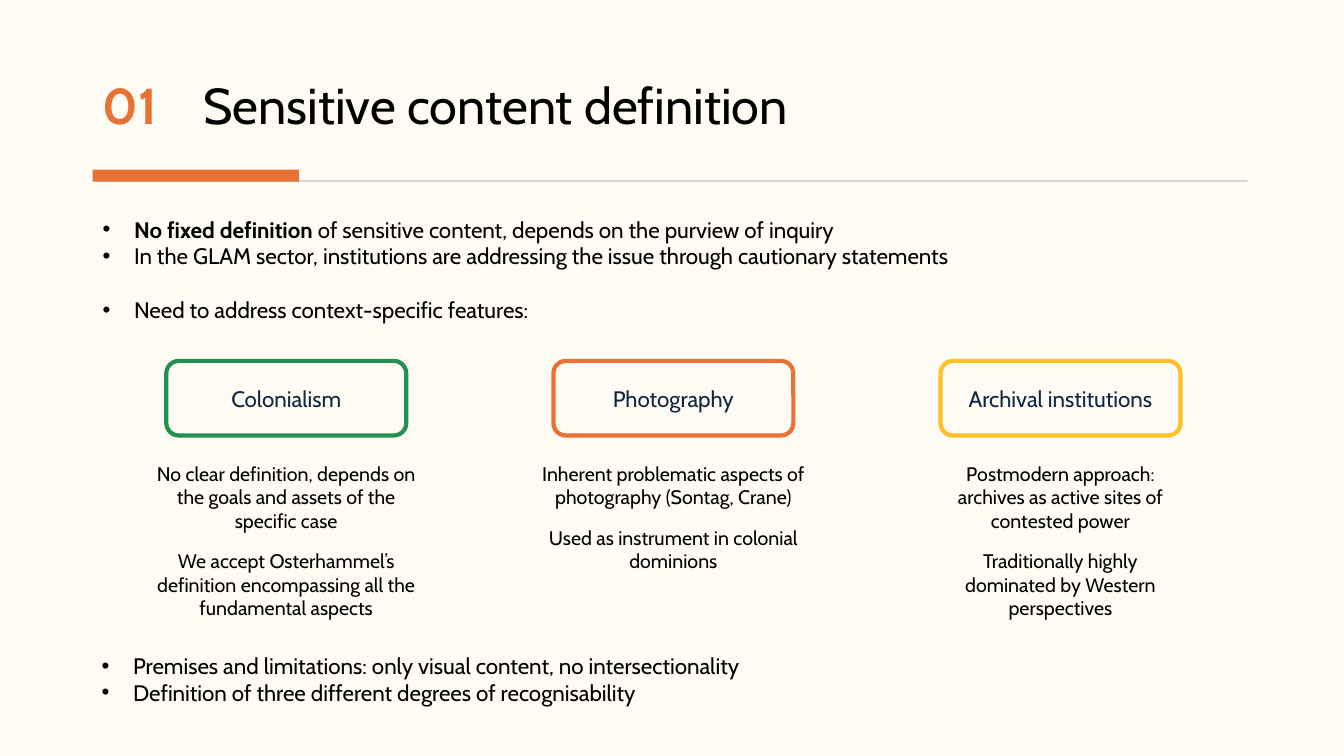
from dataclasses import dataclass

from lxml import etree
from pptx import Presentation
from pptx.dml.color import RGBColor
from pptx.enum.shapes import MSO_SHAPE
from pptx.enum.text import MSO_ANCHOR, MSO_AUTO_SIZE, PP_ALIGN
from pptx.oxml.ns import qn
from pptx.util import Pt

RECTANGLE = MSO_SHAPE.RECTANGLE
ROUNDED = MSO_SHAPE.ROUNDED_RECTANGLE
LEFT, CENTER = PP_ALIGN.LEFT, PP_ALIGN.CENTER
TOP, MIDDLE, BOTTOM = MSO_ANCHOR.TOP, MSO_ANCHOR.MIDDLE, MSO_ANCHOR.BOTTOM
GROW = MSO_AUTO_SIZE.SHAPE_TO_FIT_TEXT

FONT = "Cabin"
BACKGROUND, BLACK, NAVY = "FEFBF5", "000000", "0E2841"
ORANGE, GREEN, YELLOW, GRAY = "E97132", "238F51", "FEC126", "D5D5D5"

BULLET_INDENT = 22.5
FIRST_CENTER, CARD_PITCH = 204.5, 276.5
LABEL_TOP, LABEL_WIDTH, LABEL_HEIGHT = 257.8, 171.4, 53.3
DETAIL_TOP = 326.2


@dataclass(frozen=True)
class Box:
    left: float
    top: float
    width: float
    height: float

    def lengths(self):
        return Pt(self.left), Pt(self.top), Pt(self.width), Pt(self.height)


@dataclass(frozen=True)
class TextRun:
    text: str
    size: float
    color: str = BLACK
    bold: bool = False


@dataclass(frozen=True)
class TextLine:
    runs: tuple[TextRun, ...]
    align: PP_ALIGN = LEFT
    before: float = 0
    after: float = 0
    spacing: float = 1.0
    bullet: bool = False


@dataclass(frozen=True)
class Card:
    label: str
    color: str
    detail_width: float
    detail_height: float
    details: tuple[str, ...]


CARDS = (
    Card("Colonialism", GREEN, 216, 121, (
        "No clear definition, depends on the goals and assets of the specific case",
        "We accept Osterhammel’s definition encompassing all the fundamental aspects",
    )),
    Card("Photography", ORANGE, 219.6, 87.1, (
        "Inherent problematic aspects of photography (Sontag, Crane)",
        "Used as instrument in colonial dominions",
    )),
    Card("Archival institutions", YELLOW, 190.8, 121, (
        "Postmodern approach: archives as active sites of contested power",
        "Traditionally highly dominated by Western perspectives",
    )),
)


def rgb(color: str) -> RGBColor:
    return RGBColor.from_string(color)


def add_bullet(paragraph) -> None:
    properties = paragraph._p.get_or_add_pPr()
    properties.set("marL", str(Pt(BULLET_INDENT)))
    properties.set("indent", str(-Pt(BULLET_INDENT)))
    etree.SubElement(properties, qn("a:buFont")).set("typeface", "Arial")
    etree.SubElement(properties, qn("a:buChar")).set("char", "•")


def write_text(shape, lines: tuple[TextLine, ...], anchor: MSO_ANCHOR) -> None:
    frame = shape.text_frame
    frame.word_wrap = True
    frame.vertical_anchor = anchor
    for index, line in enumerate(lines):
        paragraph = frame.add_paragraph() if index else frame.paragraphs[0]
        if line.bullet:
            add_bullet(paragraph)
        paragraph.alignment = line.align
        paragraph.line_spacing = line.spacing
        paragraph.space_before = Pt(line.before)
        paragraph.space_after = Pt(line.after)
        for item in line.runs:
            run = paragraph.add_run()
            run.text = item.text
            run.font.name = FONT
            run.font.size = Pt(item.size)
            run.font.bold = item.bold
            run.font.color.rgb = rgb(item.color)


def add_text(shapes, box: Box, lines: tuple[TextLine, ...], anchor: MSO_ANCHOR = TOP):
    shape = shapes.add_textbox(*box.lengths())
    write_text(shape, lines, anchor)
    if anchor == TOP:
        shape.text_frame.auto_size = GROW
    return shape


def add_bar(shapes, box: Box, color: str) -> None:
    shape = shapes.add_shape(RECTANGLE, *box.lengths())
    shape.shadow.inherit = False
    shape.fill.solid()
    shape.fill.fore_color.rgb = rgb(color)
    shape.line.fill.background()


def add_card(slide, card: Card, center: float) -> None:
    shapes = slide.shapes.add_group_shape().shapes
    label_box = Box(center - LABEL_WIDTH / 2, LABEL_TOP, LABEL_WIDTH, LABEL_HEIGHT)
    label = shapes.add_shape(ROUNDED, *label_box.lengths())
    label.shadow.inherit = False
    label.fill.background()
    label.line.color.rgb = rgb(card.color)
    label.line.width = Pt(3)
    write_text(label, (TextLine((TextRun(card.label, 16, NAVY),), CENTER),), MIDDLE)
    detail_box = Box(center - card.detail_width / 2, DETAIL_TOP, card.detail_width, card.detail_height)
    details = tuple(TextLine((TextRun(text, 14),), CENTER, after=12) for text in card.details)
    add_text(shapes, detail_box, details)


def bullet(*runs: TextRun, before: float = 0) -> TextLine:
    return TextLine(runs, before=before, bullet=True)


def main() -> None:
    presentation = Presentation()
    presentation.slide_width, presentation.slide_height = Pt(960), Pt(540)
    slide = presentation.slides.add_slide(presentation.slide_layouts[6])
    slide.background.fill.solid()
    slide.background.fill.fore_color.rgb = rgb(BACKGROUND)
    shapes = slide.shapes

    title = TextLine((
        TextRun("01\t", 36, ORANGE, True),
        TextRun("Sensitive content definition", 36),
    ), spacing=0.9)
    add_text(shapes, Box(66.2, 37.4, 827.3, 62.6), (title,), BOTTOM)
    add_bar(shapes, Box(68.4, 128.7, 822.6, 1.2), GRAY)
    add_bar(shapes, Box(66.2, 121.2, 147.4, 8.6), ORANGE)

    add_text(shapes, Box(66.2, 150.5, 825.1, 85), (
        bullet(
            TextRun("No fixed definition", 16, bold=True),
            TextRun(" of sensitive content, depends on the purview of inquiry", 16),
        ),
        bullet(TextRun("In the GLAM sector, institutions are addressing the issue through cautionary statements", 16)),
        bullet(TextRun("Need to address context-specific features:", 16), before=19.4),
    ))
    for index, card in enumerate(CARDS):
        add_card(slide, card, FIRST_CENTER + index * CARD_PITCH)
    add_text(shapes, Box(65.5, 462.2, 636.5, 67.7), (
        bullet(TextRun("Premises and limitations: only visual content, no intersectionality", 16)),
        bullet(TextRun("Definition of three different degrees of recognisability", 16)),
    ))
    presentation.save("out.pptx")


if __name__ == "__main__":
    main()
